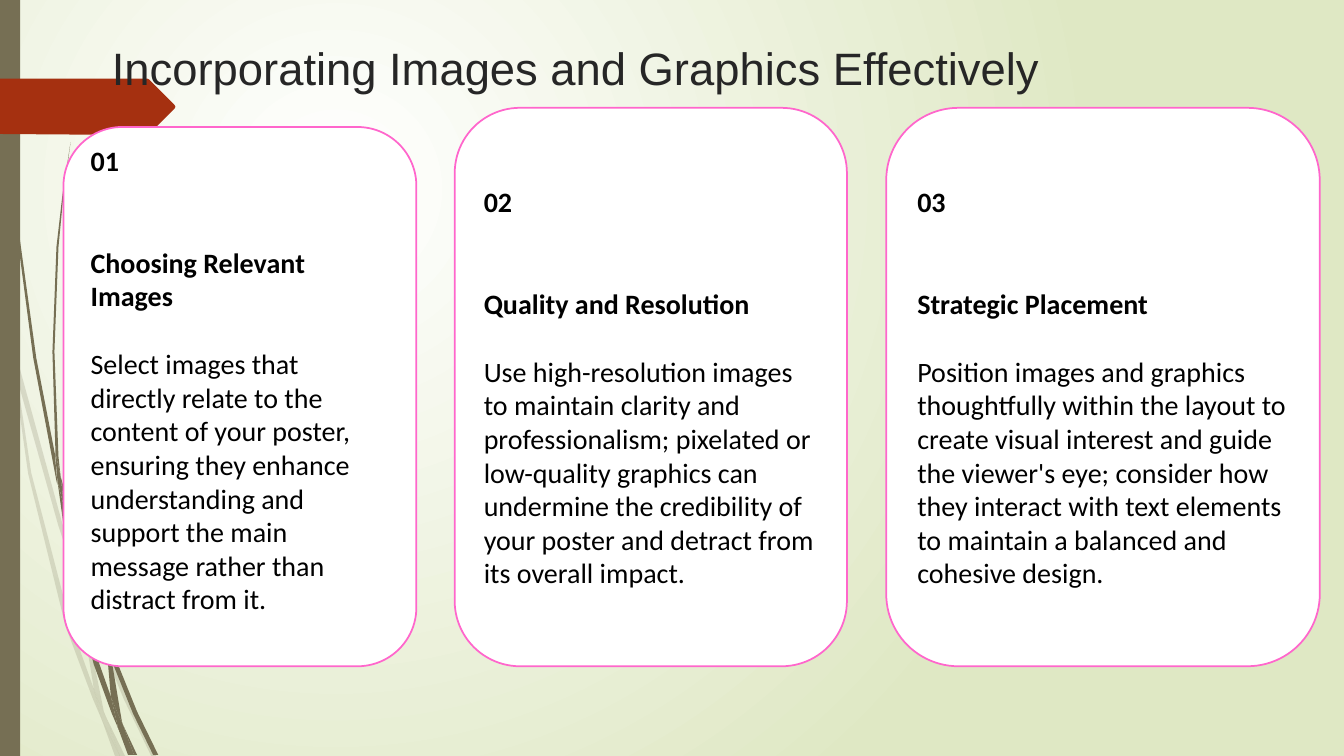
"""Build a slide with three cards on using images and graphics in a poster."""
from dataclasses import dataclass
from typing import NamedTuple

from lxml.etree import SubElement
from pptx import Presentation
from pptx.dml.color import RGBColor
from pptx.enum.shapes import MSO_SHAPE as Preset
from pptx.enum.text import MSO_ANCHOR as Anchor, PP_ALIGN as Align
from pptx.oxml.ns import qn
from pptx.shapes.autoshape import Shape
from pptx.slide import Slide
from pptx.text.text import TextFrame
from pptx.util import Inches, Pt

Points = list[tuple[float, float]]


@dataclass(frozen=True)
class Theme:
    glow: RGBColor = RGBColor(0xFF, 0xFF, 0xFF)
    meadow: RGBColor = RGBColor(0xDF, 0xE8, 0xC4)
    grass: RGBColor = RGBColor(0x76, 0x6F, 0x54)
    ribbon: RGBColor = RGBColor(0xA5, 0x30, 0x10)
    heading: RGBColor = RGBColor(0x26, 0x26, 0x26)
    card: RGBColor = RGBColor(0xFF, 0xFF, 0xFF)
    border: RGBColor = RGBColor(0xFF, 0x66, 0xCC)
    ink: RGBColor = RGBColor(0, 0, 0)
    title_font: str = "Arial"
    card_font: str = "Calibri"
    title_size: float = 32.4
    card_size: float = 20
    line_pitch: float = 24.4


class Card(NamedTuple):
    left: float
    top: float
    width: float
    number: str
    heading: str
    advice: str
    top_inset: float = 0.05
    bottom_inset: float = 0.05


THEME = Theme()
CARD_BOTTOM = 6.61

CARDS = [
    Card(0.63, 1.26, 3.5, "01", "Choosing Relevant Images",
         "Select images that directly relate to the content of your poster, "
         "ensuring they enhance understanding and support the main message "
         "rather than distract from it.", 0, 0.34),
    Card(4.51, 1.07, 3.89, "02", "Quality and Resolution",
         "Use high-resolution images to maintain clarity and professionalism; "
         "pixelated or low-quality graphics can undermine the credibility of "
         "your poster and detract from its overall impact."),
    Card(8.79, 1.07, 4.3, "03", "Strategic Placement",
         "Position images and graphics thoughtfully within the layout to "
         "create visual interest and guide the viewer's eye; consider how they "
         "interact with text elements to maintain a balanced and cohesive design."),
]

PALE_BLADES: list[Points] = [
    [(0.11, 3.5), (0.09, 3.22), (0, 2.82), (0, 2.99), (0.1, 3.44)],
    [(0.58, 5.22), (0.84, 5.99), (0.85, 5.86), (0.62, 5.2), (0.14, 3.45), (0.17, 3.76)],
    [(0.92, 6.07), (0.88, 5.96), (0.88, 6.1), (1.23, 6.94), (1.5, 7.5), (1.55, 7.5),
     (1.27, 6.92)],
    [(1.19, 7.5), (1.24, 7.5), (1.05, 7.11)],
    [(0.93, 6.83), (0.7, 6.19), (0.31, 4.69), (0.17, 3.76), (0.11, 3.5), (0.28, 4.7),
     (0.65, 6.21), (0.92, 6.93), (1.01, 7.14), (0.99, 7.07)],
    [(0.84, 5.99), (0.87, 6.46), (0.93, 6.83), (0.96, 6.92), (1.05, 7.11), (1.03, 7.06),
     (0.91, 6.46), (0.88, 6.1), (0.88, 6.08)],
    [(1.01, 7.14), (1.14, 7.5), (1.19, 7.5)],
    [(0.96, 6.92), (0.93, 6.83), (0.99, 7.07), (1.01, 7.14), (1.19, 7.5), (1.05, 7.11)],
]

DARK_BLADES: list[Points] = [
    [(0.07, 1.1), (0.17, 2.33), (0.33, 3.55), (0.56, 4.77), (0.57, 4.81), (0.55, 4.57),
     (0.55, 4.53), (0.36, 3.55), (0.19, 2.32), (0.08, 1.09), (0.05, 0.48), (0.04, 0),
     (0.03, 0), (0.04, 0.48)],
    [(0.88, 5.92), (1.06, 6.45), (1.06, 6.33), (1.06, 6.31), (0.93, 5.9), (0.6, 4.72),
     (0.64, 5.05)],
    [(1.13, 6.49), (1.1, 6.41), (1.11, 6.56), (1.32, 7.08), (1.52, 7.49), (1.57, 7.49),
     (1.36, 7.06)],
    [(1.1, 6.91), (0.98, 6.57), (0.72, 5.56), (0.64, 5.05), (0.57, 4.77), (0.68, 5.57),
     (0.93, 6.59), (1.11, 7.08), (1.17, 7.22), (1.16, 7.17)],
    [(0.6, 4.72), (0.58, 4.53), (0.54, 3.49), (0.58, 2.45), (0.63, 1.93), (0.7, 1.41),
     (0.62, 1.93), (0.56, 2.45), (0.52, 3.49), (0.55, 4.49)],
    [(1.33, 7.49), (1.36, 7.49), (1.22, 7.19)],
    [(0.57, 4.77), (0.64, 5.05), (0.6, 4.72), (0.55, 4.49), (0.55, 4.53)],
    [(1.17, 7.22), (1.27, 7.49), (1.31, 7.49)],
    [(1.06, 6.45), (1.1, 6.91), (1.16, 7.06), (1.22, 7.19), (1.21, 7.16), (1.11, 6.56),
     (1.09, 6.51)],
    [(1.16, 7.06), (1.1, 6.91), (1.16, 7.17), (1.17, 7.22), (1.3, 7.49), (1.33, 7.49),
     (1.22, 7.19)],
]

RIBBON: Points = [(1.73, 1.08), (1.48, 1.33), (1.46, 1.34), (1.36, 1.34), (0, 1.33),
                  (0, 0.78), (1.46, 0.78), (1.48, 0.79), (1.73, 1.04), (1.74, 1.06)]


def paint_background(slide: Slide) -> None:
    fill = slide.background.fill
    fill.gradient()
    for stop, color in zip(fill.gradient_stops, (THEME.glow, THEME.meadow)):
        stop.color.rgb = color
    gradient = slide.element.find(".//" + qn("a:gradFill"))
    gradient.remove(gradient.find(qn("a:lin")))
    circle = SubElement(gradient, qn("a:path"), path="circle")
    SubElement(circle, qn("a:fillToRect"), l="50000", t="50000", r="100000", b="100000")


def paint(shape: Shape, color: RGBColor) -> None:
    shape.shadow.inherit = False
    shape.fill.solid()
    shape.fill.fore_color.rgb = color
    shape.line.fill.background()


def draw_outline(slide: Slide, points: Points, color: RGBColor, opacity: int = 100) -> None:
    start, *rest = [(Inches(x), Inches(y)) for x, y in points]
    builder = slide.shapes.build_freeform(*start)
    builder.add_line_segments(rest, close=True)
    outline = builder.convert_to_shape()
    paint(outline, color)
    if opacity < 100:
        tint = outline.fill._xPr.find(".//" + qn("a:srgbClr"))
        SubElement(tint, qn("a:alpha"), val=str(opacity * 1000))


def draw_scenery(slide: Slide) -> None:
    for blade in PALE_BLADES:
        draw_outline(slide, blade, THEME.grass, opacity=20)
    for blade in DARK_BLADES:
        draw_outline(slide, blade, THEME.grass)
    edge = slide.shapes.add_shape(Preset.RECTANGLE, 0, 0, Inches(0.2), Inches(7.5))
    paint(edge, THEME.grass)
    draw_outline(slide, RIBBON, THEME.ribbon)


def place_title(slide: Slide) -> None:
    title = slide.shapes.title
    title.left, title.top = Inches(1.01), Inches(0.35)
    title.width, title.height = Inches(9.75), Inches(0.91)
    title.text_frame.vertical_anchor = Anchor.TOP
    paragraph = title.text_frame.paragraphs[0]
    paragraph.alignment = Align.LEFT
    run = paragraph.add_run()
    run.text = "Incorporating Images and Graphics Effectively"
    run.font.name, run.font.size = THEME.title_font, Pt(THEME.title_size)
    run.font.color.rgb = THEME.heading
    slide.shapes.element.append(title.element)


def write_line(frame: TextFrame, text: str, lines_before: int, bold: bool) -> None:
    paragraph = frame.add_paragraph() if lines_before else frame.paragraphs[0]
    paragraph.alignment = Align.LEFT
    if lines_before:
        paragraph.space_before = Pt(lines_before * THEME.line_pitch)
    run = paragraph.add_run()
    run.text = text
    run.font.name, run.font.size = THEME.card_font, Pt(THEME.card_size)
    run.font.bold = bold
    run.font.color.rgb = THEME.ink


def draw_card(slide: Slide, card: Card) -> None:
    panel = slide.shapes.add_shape(
        Preset.ROUNDED_RECTANGLE, Inches(card.left), Inches(card.top),
        Inches(card.width), Inches(CARD_BOTTOM - card.top))
    paint(panel, THEME.card)
    panel.line.color.rgb = THEME.border
    panel.line.width = Pt(1.25)
    frame = panel.text_frame
    frame.word_wrap = True
    frame.vertical_anchor = Anchor.MIDDLE
    frame.margin_top, frame.margin_bottom = Inches(card.top_inset), Inches(card.bottom_inset)
    write_line(frame, card.number, 0, True)
    write_line(frame, card.heading, 2, True)
    write_line(frame, card.advice, 1, False)


def main() -> None:
    deck = Presentation()
    deck.slide_width, deck.slide_height = Inches(13.33), Inches(7.5)
    slide = deck.slides.add_slide(deck.slide_layouts[5])
    paint_background(slide)
    draw_scenery(slide)
    place_title(slide)
    for card in CARDS:
        draw_card(slide, card)
    deck.save("out.pptx")


if __name__ == "__main__":
    main()
